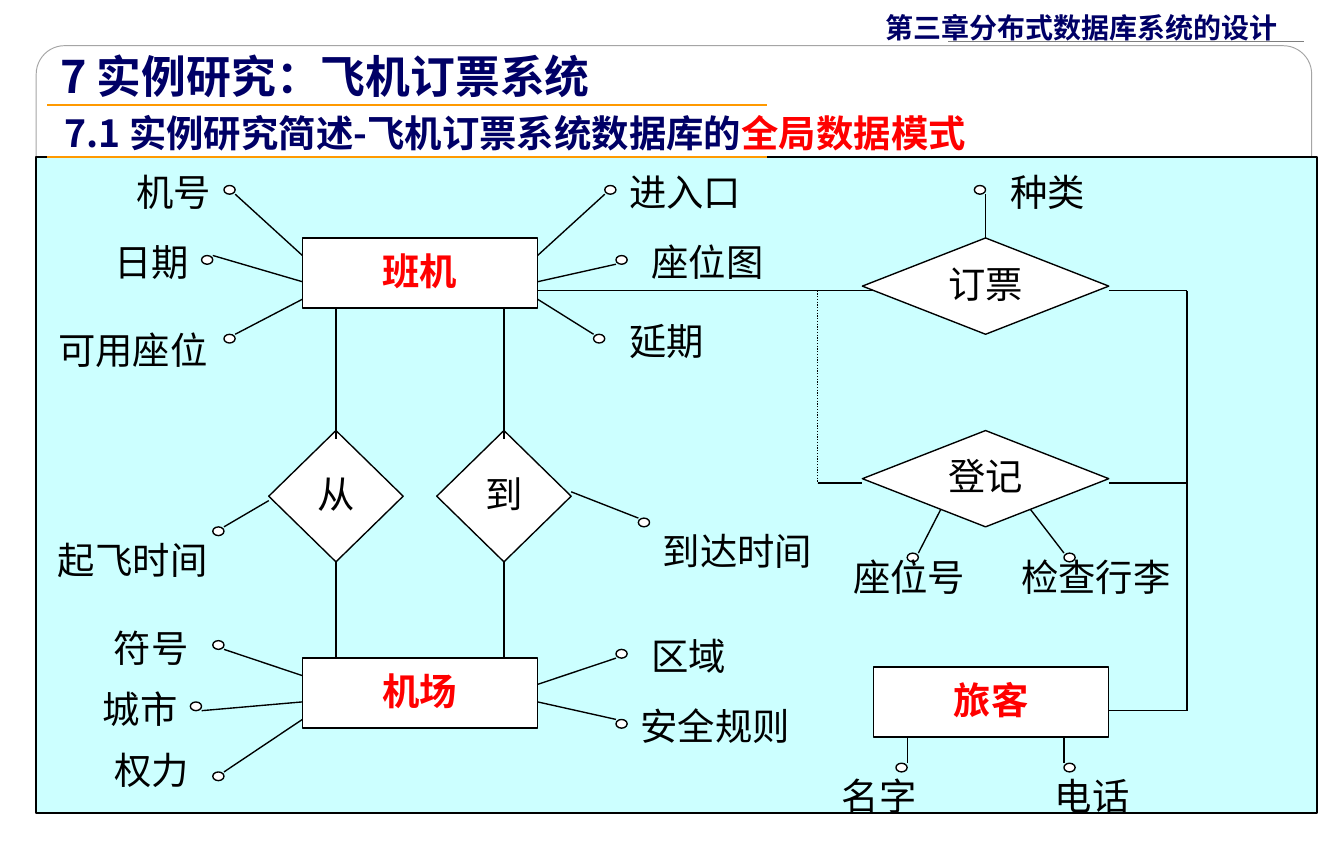
from pptx import Presentation
from pptx.dml.color import RGBColor
from pptx.enum.dml import MSO_LINE
from pptx.enum.shapes import MSO_CONNECTOR, MSO_SHAPE as SHAPE
from pptx.enum.text import MSO_ANCHOR, MSO_AUTO_SIZE, PP_ALIGN
from pptx.oxml.ns import qn
from pptx.util import Pt
from lxml.etree import SubElement

COLORS = {"navy": "000066", "red": "FF0000", "black": "000000", "white": "FFFFFF",
          "cyan": "CCFFFF", "orange": "FF9900", "frame": "A5A5A5", "rule": "7F7F7F"}
CJK, LATIN = "Noto Sans CJK SC", "Times New Roman"
COL, ROW = 6, 4.69  # diagram grid, in points

ENTITY = {"size": Pt(20), "bold": True, "name": LATIN, "color": "red"}
PLAIN = {"size": Pt(20), "bold": False, "name": LATIN, "color": "black"}
TITLE = {"size": Pt(24), "bold": True, "name": CJK, "color": "navy"}
SUBTITLE = {**TITLE, "size": Pt(20)}
CHAPTER = {**TITLE, "size": Pt(15)}

# text, preset, column, row, columns wide, rows high, format
NODES = [
    ("班机", SHAPE.RECTANGLE, 23, 8, 21, 8, ENTITY),
    ("机场", SHAPE.RECTANGLE, 23, 56, 21, 8, ENTITY),
    ("旅客", SHAPE.RECTANGLE, 74, 57, 21, 8, ENTITY),
    ("订票", SHAPE.DIAMOND, 73, 8, 22, 11, PLAIN),
    ("登记", SHAPE.DIAMOND, 73, 30, 22, 11, PLAIN),
    ("从", SHAPE.DIAMOND, 20, 30, 12, 15, PLAIN),
    ("到", SHAPE.DIAMOND, 35, 30, 12, 15, PLAIN),
]
# text, label (column, row, columns wide), dot, line start, line end
ATTRIBUTES = [
    ("机号", (7, 0, 11), (16, 2), (17, 3), (23, 10)),
    ("日期", (5, 8, 15), (14, 10), (15, 10), (23, 13)),
    ("可用座位", (0, 18, 21), (16, 19), (17, 19), (23, 15)),
    ("进入口", (51, 0, 17), (50, 2), (50, 3), (44, 10)),
    ("座位图", (53, 8, 18), (51, 10), (51, 11), (44, 13)),
    ("延期", (51, 17, 24), (49, 19), (49, 19), (44, 15)),
    ("种类", (85, 0, 15), (83, 2), (84, 3), (84, 8)),
    ("起飞时间", (0, 42, 19), (15, 41), (16, 41), (20, 38)),
    ("到达时间", (54, 41, 24), (53, 40), (53, 40), (47, 37)),
    ("符号", (5, 52, 11), (15, 54), (16, 55), (23, 58)),
    ("城市", (4, 59, 15), (13, 61), (14, 62), (23, 61)),
    ("权力", (5, 66, 14), (15, 69), (16, 69), (23, 63)),
    ("区域", (53, 53, 15), (51, 55), (51, 56), (44, 59)),
    ("安全规则", (52, 61, 22), (51, 63), (51, 63), (44, 61)),
    ("座位号", (71, 44, 13), (77, 44), (78, 44), (80, 39)),
    ("检查行李", (86, 44, 23), (91, 44), (91, 44), (88, 39)),
    ("名字", (70, 69, 13), (76, 68), (77, 68), (77, 65)),
    ("电话", (89, 69, 18), (91, 68), (91, 68), (91, 65)),
]
LINKS = [
    ((26, 16), (26, 31)), ((41, 16), (41, 31)),
    ((26, 45), (26, 56)), ((41, 45), (41, 56)),
    ((44, 14), (74, 14)), ((69, 36), (73, 36)),
    ((95, 14), (102, 14)), ((102, 14), (102, 62)),
    ((102, 62), (95, 62)), ((95, 36), (102, 36)),
]
DOTTED_LINK = ((69, 14), (69, 36))


def rgb(name):
    return RGBColor.from_string(COLORS[name])


def add_run(p, text, fmt):
    r = p.add_run()
    r.text = text
    for key, value in fmt.items():
        if key == "color":
            r.font.color.rgb = rgb(value)
        else:
            setattr(r.font, key, value)
    SubElement(r.font._element, qn("a:ea")).set("typeface", CJK)


def add_shape(slide, preset, box, fill="white", line="black", width=0.75):
    s = slide.shapes.add_shape(preset, *map(Pt, box))
    s.shadow.inherit = False
    s.fill.solid()
    s.fill.fore_color.rgb = rgb(fill)
    s.line.color.rgb = rgb(line)
    s.line.width = Pt(width)
    return s


def add_line(slide, start, end, color="black", width=0.75):
    c = slide.shapes.add_connector(MSO_CONNECTOR.STRAIGHT, *map(Pt, (*start, *end)))
    c.line.color.rgb = rgb(color)
    c.line.width = Pt(width)
    SubElement(c._element.spPr, qn("a:effectLst"))
    return c


def add_text(slide, box, runs, spacing=None, side=7.2):
    tf = slide.shapes.add_textbox(*map(Pt, box)).text_frame
    tf.word_wrap = True
    tf.auto_size = MSO_AUTO_SIZE.SHAPE_TO_FIT_TEXT
    tf.margin_left = tf.margin_right = Pt(side)
    p = tf.paragraphs[0]
    p.line_spacing = spacing
    for text, fmt in runs:
        add_run(p, text, fmt)


def add_frame(slide, left, top, width, height):
    """Rounded page frame with the chapter name above its right corner."""
    s = add_shape(slide, SHAPE.ROUNDED_RECTANGLE, (left, top, width, height),
                  line="frame", width=0.5)
    s.adjustments[0] = 0.037
    add_text(slide, (left + 448.6, top - 22.3, 226.8, 24.5),
             [("第三章分布式数据库系统的设计", CHAPTER)], side=6.5)
    rule_y = top - 2.2
    add_line(slide, (left + 679, rule_y), (left + 488.2, rule_y), "rule")


def add_headings(slide, left, top, width):
    for y in (top + 33.8, top + 61.9):
        add_line(slide, (left, y), (left + width, y), "orange", 1)
    add_text(slide, (left, top, 360, 36), [("7 实例研究：飞机订票系统", TITLE)])
    add_text(slide, (left + 2.2, top + 33.1, 537, 31.7),
             [("7.1 实例研究简述-飞机订票系统数据库的", SUBTITLE),
              ("全局数据模式", {**SUBTITLE, "color": "red"})])


def add_diagram(slide, left, top, width, height):
    add_shape(slide, SHAPE.RECTANGLE, (left, top, width, height), "cyan")
    sites = {}

    def at(col, row):
        return left + 4.6 + col * COL, top + 5.8 + row * ROW

    def link(start, end):
        c = add_line(slide, at(*start), at(*end))
        for point, connect in ((start, c.begin_connect), (end, c.end_connect)):
            if point in sites:
                connect(*sites[point])
        return c

    for text, preset, col, row, cols, rows, fmt in NODES:
        s = add_shape(slide, preset, (*at(col, row), cols * COL, rows * ROW))
        tf = s.text_frame
        tf.word_wrap = False
        tf.vertical_anchor = MSO_ANCHOR.MIDDLE
        p = tf.paragraphs[0]
        p.alignment = PP_ALIGN.CENTER
        p.line_spacing = 0.9
        add_run(p, text, fmt)
        mid_col, mid_row = col + cols / 2, row + rows / 2
        middles = ((mid_col, row), (col, mid_row),
                   (mid_col, row + rows), (col + cols, mid_row))
        sites.update({point: (s, i) for i, point in enumerate(middles)})

    for text, (col, row, cols), dot, start, end in ATTRIBUTES:
        add_shape(slide, SHAPE.FLOWCHART_CONNECTOR, (*at(*dot), COL, ROW))
        add_text(slide, (*at(col, row), cols * COL, 28.8), [(text, PLAIN)], 0.9)
        link(start, end)

    for start, end in LINKS:
        link(start, end)
    link(*DOTTED_LINK).line.dash_style = MSO_LINE.ROUND_DOT


def main():
    prs = Presentation()
    prs.slide_width, prs.slide_height = Pt(720), Pt(452.2)
    slide = prs.slides.add_slide(prs.slide_layouts[6])
    add_frame(slide, 19.4, 24.5, 683.3, 411.1)
    add_diagram(slide, 19.4, 84.2, 686.2, 351.4)
    add_headings(slide, 25.2, 22.3, 385.9)
    prs.save("out.pptx")


if __name__ == "__main__":
    main()
